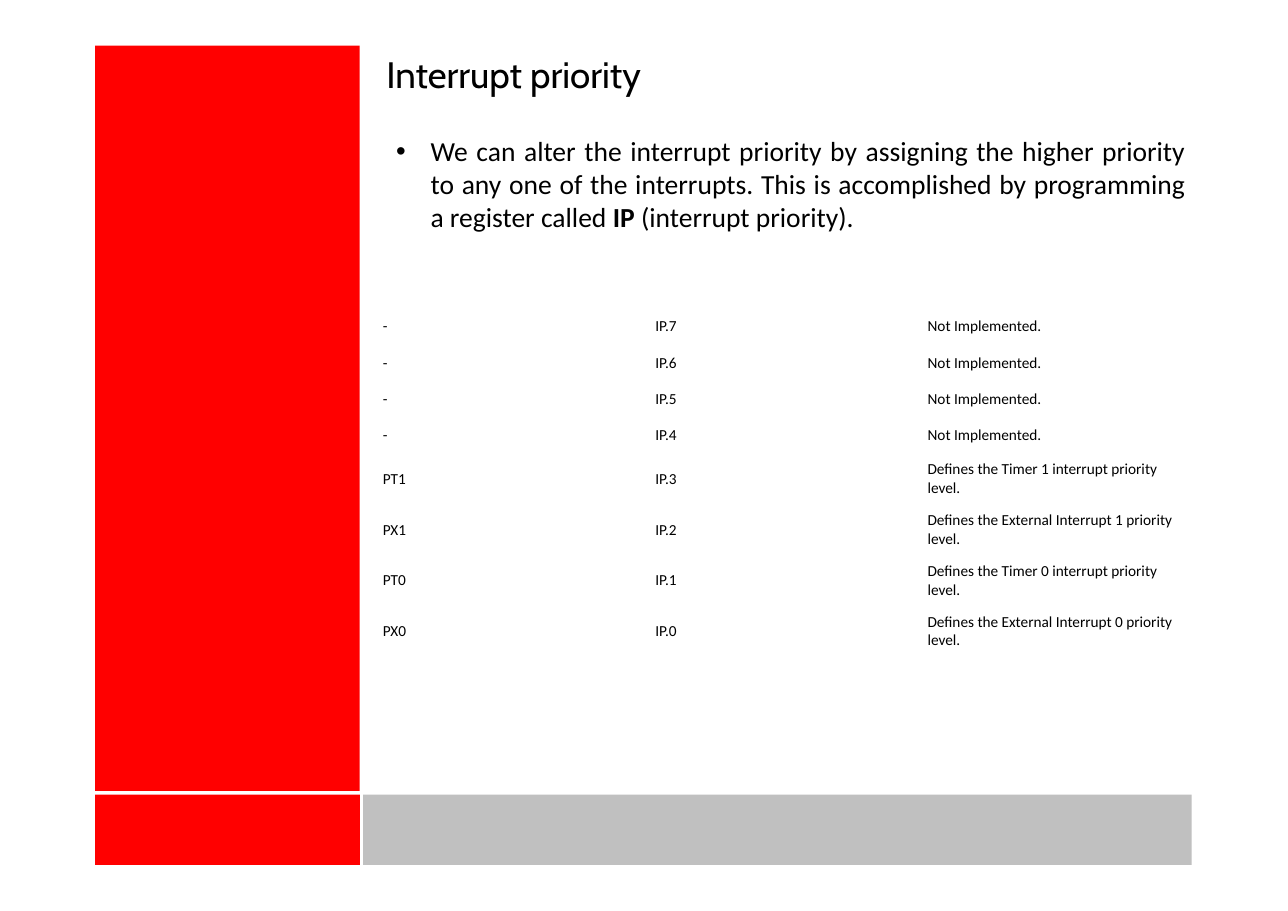
from dataclasses import dataclass

from pptx import Presentation
from pptx.dml.color import RGBColor
from pptx.enum.shapes import MSO_CONNECTOR, MSO_SHAPE
from pptx.enum.text import MSO_ANCHOR, MSO_AUTO_SIZE, PP_ALIGN
from pptx.oxml.ns import qn
from pptx.slide import Slide
from pptx.util import Pt
from lxml.etree import SubElement

COLOURS = {"red": "FF0000", "grey": "C0C0C0", "white": "FFFFFF", "black": "000000"}


def colour(name: str) -> RGBColor:
    return RGBColor.from_string(COLOURS[name])


@dataclass
class Block:
    left: float
    top: float
    width: float
    height: float
    fill: str


@dataclass
class Rule:
    start: tuple[float, float]
    end: tuple[float, float]
    weight: float


@dataclass
class Span:
    text: str
    bold: bool = False


BLOCKS = [
    Block(62.2, 519.4, 174.4, 46, "red"),
    Block(236.9, 519.4, 541.8, 46, "grey"),
    Block(62.2, 29.9, 172.9, 487.5, "red"),
]
RULES = [
    Rule((236.1, 565.9), (236.1, 519.1), 2.25),
    Rule((59.8, 517), (236.1, 517), 0.4),
    Rule((59.8, 518.4), (236.1, 518.4), 0.4),
]
BODY = [
    Span("We can alter the interrupt priority by assigning the higher priority to any "
         "one of the interrupts. This is accomplished by programming a register called "),
    Span("IP", bold=True),
    Span(" (interrupt priority)."),
]
NOT_IMPLEMENTED = "Not Implemented."
SOURCES = {
    "PT1": "Timer 1 interrupt",
    "PX1": "External Interrupt 1",
    "PT0": "Timer 0 interrupt",
    "PX0": "External Interrupt 0",
}
BITS = [("-", NOT_IMPLEMENTED)] * 4 + [
    (name, f"Defines the {source} priority level.") for name, source in SOURCES.items()
]
COLUMN_WIDTH = 178
SHORT_ROW, TALL_ROW = 23.75, 33.2


def set_all(target: object, **values: object) -> None:
    for name, value in values.items():
        setattr(target, name, value)


def format_font(font: object, name: str, size: float, bold: bool = False) -> None:
    set_all(font, name=name, size=Pt(size), bold=bold)
    font.color.rgb = colour("black")


def format_frame(frame: object, left_margin: float = 0) -> None:
    set_all(frame, margin_left=Pt(left_margin), margin_right=0, margin_top=0,
            margin_bottom=0, word_wrap=True, auto_size=MSO_AUTO_SIZE.NONE,
            vertical_anchor=MSO_ANCHOR.TOP)


def add_block(page: Slide, block: Block) -> None:
    shape = page.shapes.add_shape(MSO_SHAPE.RECTANGLE, Pt(block.left), Pt(block.top),
                                  Pt(block.width), Pt(block.height))
    shape.shadow.inherit = False
    shape.fill.solid()
    shape.fill.fore_color.rgb = colour(block.fill)
    shape.line.fill.background()


def add_rule(page: Slide, rule: Rule) -> None:
    line = page.shapes.add_connector(MSO_CONNECTOR.STRAIGHT,
                                     *map(Pt, rule.start + rule.end))
    line.line.width = Pt(rule.weight)
    line.line.color.rgb = colour("white")
    SubElement(line._element.spPr, qn("a:effectLst"))


def add_title(page: Slide) -> None:
    title = page.shapes.title
    set_all(title, left=Pt(247), top=Pt(33.8), width=Pt(563.8), height=Pt(28.8))
    format_frame(title.text_frame, left_margin=5.4)
    title.text_frame.text = "Interrupt priority"
    paragraph = title.text_frame.paragraphs[0]
    paragraph.alignment = PP_ALIGN.LEFT
    format_font(paragraph.runs[0].font, "Cabin", 24)


def add_body(page: Slide) -> None:
    box = page.shapes.add_textbox(Pt(258.9), Pt(87.8), Pt(516), Pt(87.1))
    format_frame(box.text_frame)
    paragraph = box.text_frame.paragraphs[0]
    paragraph.alignment = PP_ALIGN.JUSTIFY
    properties = paragraph._p.get_or_add_pPr()
    properties.set("marL", str(Pt(22.5)))
    properties.set("indent", str(-Pt(22.5)))
    SubElement(properties, qn("a:buFont"), typeface="Arial")
    SubElement(properties, qn("a:buChar"), char="•")
    for span in BODY:
        run = paragraph.add_run()
        run.text = span.text
        format_font(run.font, "Calibri", 18, span.bold)


def add_register_table(page: Slide) -> None:
    heights = [SHORT_ROW if text == NOT_IMPLEMENTED else TALL_ROW for _, text in BITS]
    table = page.shapes.add_table(len(BITS), 3, Pt(246.6), Pt(201.6),
                                  Pt(3 * COLUMN_WIDTH), Pt(sum(heights))).table
    set_all(table, first_row=False, horz_banding=False)
    for column in table.columns:
        column.width = Pt(COLUMN_WIDTH)
    for index, (name, meaning) in enumerate(BITS):
        row = table.rows[index]
        row.height = Pt(heights[index])
        for cell, text in zip(row.cells, (name, f"IP.{7 - index}", meaning)):
            set_all(cell, text=text, vertical_anchor=MSO_ANCHOR.MIDDLE,
                    margin_left=Pt(3.6), margin_right=Pt(3.6),
                    margin_top=Pt(3.6), margin_bottom=Pt(3.6))
            cell.fill.solid()
            cell.fill.fore_color.rgb = colour("white")
            format_font(cell.text_frame.paragraphs[0].runs[0].font, "Calibri", 10)


def main() -> None:
    deck = Presentation()
    set_all(deck, slide_width=Pt(841.68), slide_height=Pt(595.44))
    page = deck.slides.add_slide(deck.slide_layouts[5])
    for block in BLOCKS:
        add_block(page, block)
    for rule in RULES:
        add_rule(page, rule)
    add_title(page)
    add_body(page)
    add_register_table(page)
    deck.save("out.pptx")


if __name__ == "__main__":
    main()
